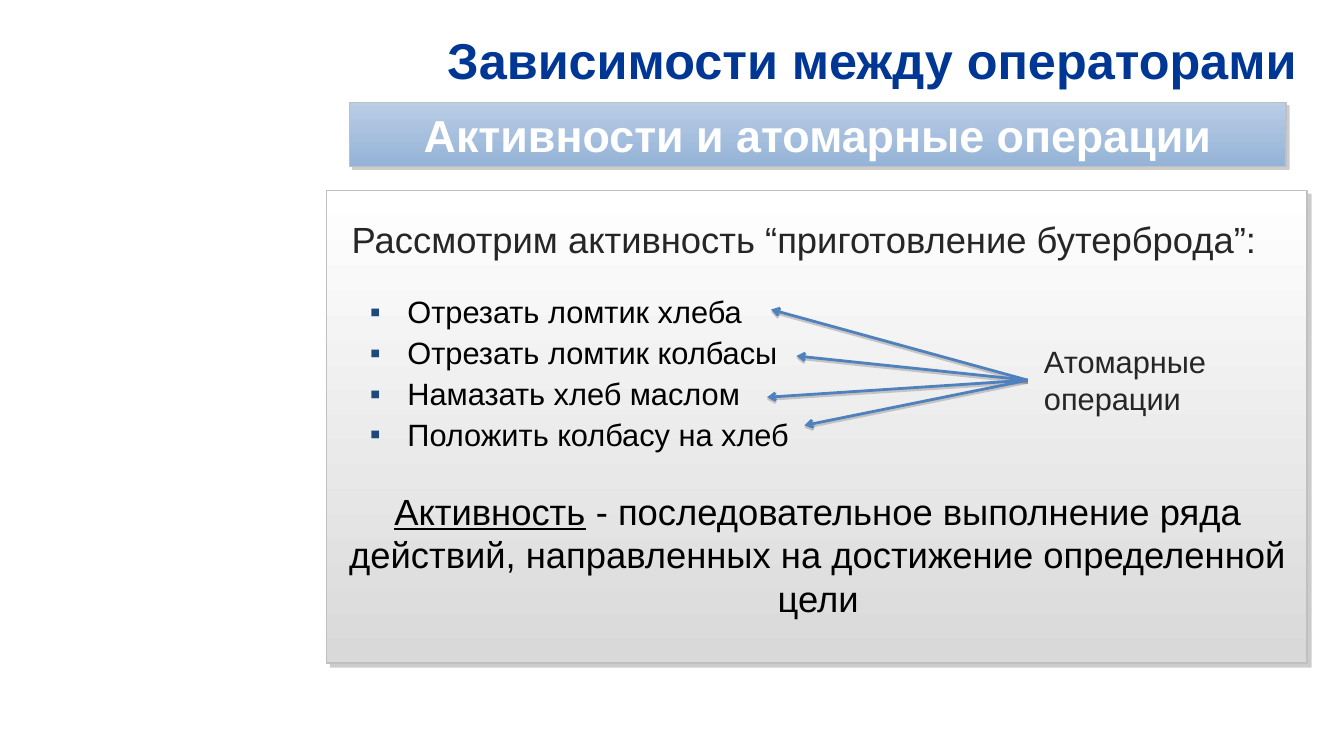
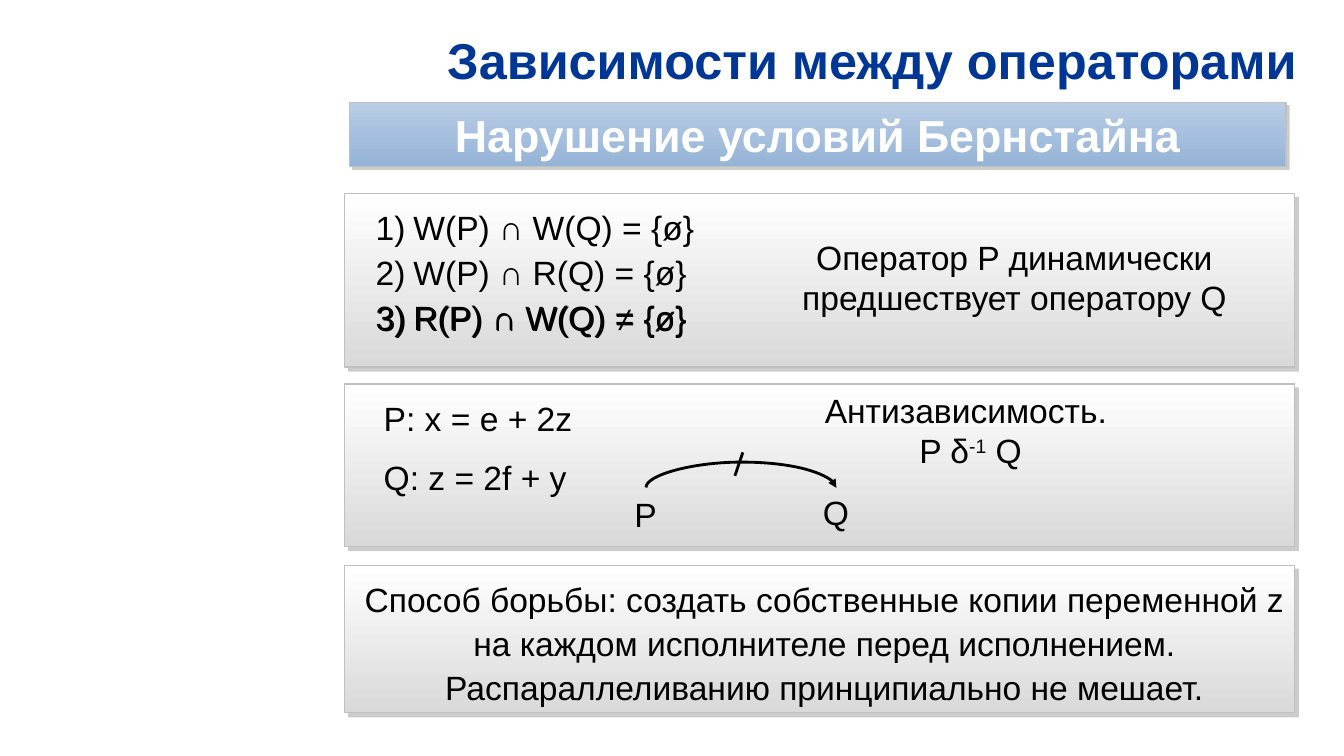
import dataclasses
import typing

import lxml.etree
import pptx
import pptx.dml.color
import pptx.enum.shapes
import pptx.enum.text
import pptx.oxml.ns
import pptx.util

Cm = pptx.util.Cm
Pt = pptx.util.Pt
qn = pptx.oxml.ns.qn
ALIGN = pptx.enum.text.PP_ALIGN
MIDDLE = pptx.enum.text.MSO_ANCHOR.MIDDLE
CONNECTOR = pptx.enum.shapes.MSO_CONNECTOR


# Theme and descriptions of the repeated elements
@dataclasses.dataclass(frozen=True)
class Theme:
    font: str = "Arial"
    title: str = "003794"
    white: str = "FFFFFF"
    text: str = "000000"
    soft_text: str = "262626"
    bullet: str = "1F497D"
    border: str = "C0C0C0"
    shadow: str = "808080"
    arrow: str = "4F81BD"
    panel: tuple[str, str] = ("FFFFFF", "D9D9D9")
    banner: tuple[str, str] = ("B9CDE5", "95B3D7")
    title_size: int = 36
    banner_size: int = 32
    lead_size: int = 26
    body_size: int = 24
    list_size: int = 22


THEME = Theme()


class Box(typing.NamedTuple):
    left: float
    top: float
    width: float
    height: float


class Shadow(typing.NamedTuple):
    distance: float
    angle: int
    alpha: int


class Run(typing.NamedTuple):
    text: str
    underline: bool = False
    superscript: bool = False
    break_before: bool = False


@dataclasses.dataclass(frozen=True)
class Style:
    size: int = THEME.body_size
    color: str = THEME.text
    bold: bool = False
    align: typing.Any = ALIGN.LEFT
    line_spacing: float = 1.0
    gap: float = 0
    bullet: str = ""
    number: int = 0


Paragraph = list[Run]
CENTERED = Style(align=ALIGN.CENTER)
HANGING = Cm(0.95)


# Helpers
def rgb(value: str) -> pptx.dml.color.RGBColor:
    return pptx.dml.color.RGBColor.from_string(value)


def assign(target: typing.Any, values: dict[str, typing.Any]) -> None:
    for name, value in values.items():
        setattr(target, name, value)


def add_child(parent: typing.Any, tag: str, **attrs: typing.Any) -> typing.Any:
    values = {name: str(value) for name, value in attrs.items()}
    return lxml.etree.SubElement(parent, qn(tag), values)


def cast_shadow(effects: typing.Any, shadow: Shadow) -> None:
    outer = add_child(effects, "a:outerShdw", blurRad=0,
                      dist=int(Pt(shadow.distance)),
                      dir=shadow.angle * 60000, algn="tl", rotWithShape=0)
    color = add_child(outer, "a:srgbClr", val=THEME.shadow)
    add_child(color, "a:alpha", val=shadow.alpha * 1000)


def mark_list(p: typing.Any, style: Style) -> None:
    pPr = p._p.get_or_add_pPr()
    pPr.set("marL", str(int(HANGING)))
    pPr.set("indent", str(-int(HANGING)))
    if style.bullet:
        color = add_child(pPr, "a:buClr")
        add_child(color, "a:srgbClr", val=THEME.bullet)
        add_child(pPr, "a:buFont", typeface=THEME.font)
        add_child(pPr, "a:buChar", char=style.bullet)
    else:
        add_child(pPr, "a:buFont", typeface=THEME.font)
        add_child(pPr, "a:buAutoNum", type="arabicParenR", startAt=style.number)


# Text
def write(tf: typing.Any, paragraphs: list[Paragraph], style: Style) -> None:
    tf.word_wrap = True
    for i, runs in enumerate(paragraphs):
        p = tf.add_paragraph() if i else tf.paragraphs[0]
        assign(p, {"alignment": style.align,
                   "line_spacing": style.line_spacing,
                   "space_before": Pt(style.gap if i else 0)})
        if style.bullet or style.number:
            mark_list(p, style)
        for run in runs:
            if run.break_before:
                p.add_line_break()
            r = p.add_run()
            r.text = run.text
            assign(r.font, {"name": THEME.font, "size": Pt(style.size),
                            "bold": style.bold, "underline": run.underline})
            r.font.color.rgb = rgb(style.color)
            if run.superscript:
                r._r.get_or_add_rPr().set("baseline", "30000")


def add_text(s: typing.Any, box: Box, paragraphs: list[Paragraph],
             style: Style) -> typing.Any:
    sp = s.shapes.add_textbox(*map(Cm, box))
    write(sp.text_frame, paragraphs, style)
    return sp


# Panels and lines
def add_panel(s: typing.Any, box: Box, colors: tuple[str, str] = THEME.panel,
              distance: float = 4) -> typing.Any:
    sp = s.shapes.add_shape(pptx.enum.shapes.MSO_SHAPE.RECTANGLE, *map(Cm, box))
    sp.fill.gradient()
    sp.fill.gradient_angle = 270
    for stop, color in zip(sp.fill.gradient_stops, colors):
        stop.color.rgb = rgb(color)
    sp.line.color.rgb = rgb(THEME.border)
    sp.line.width = Pt(1)
    sp.shadow.inherit = False
    cast_shadow(sp._element.spPr.find(qn("a:effectLst")), Shadow(distance, 45, 40))
    return sp


def add_line(s: typing.Any, start: tuple[float, float], end: tuple[float, float],
             color: str, head: str = "", shadow: Shadow | None = None,
             kind: typing.Any = CONNECTOR.STRAIGHT) -> typing.Any:
    line = s.shapes.add_connector(kind, *map(Cm, start + end))
    line.line.color.rgb = rgb(color)
    line.line.width = Pt(2)
    spPr = line._element.spPr
    if head:
        add_child(spPr.find(qn("a:ln")), "a:tailEnd", type=head)
    effects = add_child(spPr, "a:effectLst")
    if shadow:
        cast_shadow(effects, shadow)
    return line


def add_arc_arrow(s: typing.Any, left: float, right: float, base: float,
                  rise: float) -> None:
    # A thin S-connector turned by 90 degrees, its bend pushed upwards
    thin = 0.01
    middle, half = (left + right) / 2, (right - left) / 2
    arc = add_line(s, (middle - thin / 2, base + half),
                   (middle + thin / 2, base - half),
                   THEME.text, "triangle", kind=CONNECTOR.CURVE)
    spPr = arc._element.spPr
    spPr.find(qn("a:xfrm")).set("rot", str(90 * 60000))
    geometry = spPr.find(qn("a:prstGeom"))
    guides = geometry.find(qn("a:avLst"))
    if guides is None:
        guides = add_child(geometry, "a:avLst")
    add_child(guides, "a:gd", name="adj1",
              fmla=f"val {round(-rise / thin * 100000)}")


# Shared slide frame
def add_slide(prs: typing.Any, heading: str) -> typing.Any:
    s = prs.slides.add_slide(prs.slide_layouts[6])
    title = add_text(s, Box(8.15, 0.58, 24.79, 1.83),
                     [[Run("Зависимости между операторами")]],
                     Style(THEME.title_size, THEME.title, True, ALIGN.RIGHT))
    title.text_frame.vertical_anchor = MIDDLE
    banner = add_panel(s, Box(8.81, 2.59, 23.6, 1.6), THEME.banner, 3)
    assign(banner.text_frame, {"vertical_anchor": MIDDLE,
                               "margin_left": Cm(0.6), "margin_right": Cm(0.6),
                               "margin_top": Cm(0.1), "margin_bottom": Cm(0.1)})
    write(banner.text_frame, [[Run(heading)]],
          Style(THEME.banner_size, THEME.white, True, ALIGN.CENTER))
    return s


# Slide 1
def build_activities(prs: typing.Any) -> None:
    s = add_slide(prs, "Активности и атомарные операции")
    add_panel(s, Box(8.23, 4.8, 24.71, 11.91))
    add_text(s, Box(8.61, 5.13, 23.44, 1.6),
             [[Run("Рассмотрим активность “приготовление бутерброда”:")]],
             Style(THEME.lead_size, THEME.soft_text, align=ALIGN.JUSTIFY,
                   line_spacing=1.2))
    steps = ["Отрезать ломтик хлеба", "Отрезать ломтик колбасы",
             "Намазать хлеб маслом", "Положить колбасу на хлеб"]
    add_text(s, Box(9.07, 7.37, 23.37, 4.5), [[Run(step)] for step in steps],
             Style(THEME.list_size, line_spacing=0.9, gap=5.3, bullet="▪"))
    add_text(s, Box(7.92, 12.19, 25.4, 3.58),
             [[Run("Активность", underline=True),
               Run(" - последовательное выполнение ряда действий, "
                   "направленных на достижение определенной цели")]],
             Style(THEME.lead_size, align=ALIGN.CENTER))
    add_text(s, Box(26.06, 8.51, 7.11, 2.13), [[Run("Атомарные операции")]],
             Style(THEME.list_size, THEME.soft_text))
    for tip in [(19.43, 7.8), (20.07, 8.97), (19.33, 10.01), (20.27, 10.72)]:
        add_line(s, (25.9, 9.58), tip, THEME.arrow, "arrow", Shadow(1.6, 90, 38))


# Slide 2
def build_bernstein(prs: typing.Any) -> None:
    s = add_slide(prs, "Нарушение условий Бернстайна")
    for top, height in [(4.88, 4.37), (9.68, 4.09), (14.25, 3.71)]:
        add_panel(s, Box(8.69, top, 23.93, height))

    # Conditions; the violated third one lies over its initial form
    conditions = [(1, "W(P) ∩ W(Q) = {ø}", 0), (2, "W(P) ∩ R(Q) = {ø}", 0),
                  (3, "R(P) ∩ W(Q) = {ø}", 0), (3, "R(P) ∩ W(Q) ≠ {ø}", 0.03)]
    for number, formula, shift in conditions:
        top = 5.36 + 1.14 * (number - 1) + shift
        add_text(s, Box(9.22 + shift, top, 10.26, 0.99), [[Run(formula)]],
                 Style(line_spacing=0.7, number=number))
    add_text(s, Box(18.72, 5.84, 13.69, 2.31),
             [[Run("Оператор P динамически предшествует оператору Q")]], CENTERED)

    # Antidependence
    add_text(s, Box(9.42, 9.91, 7.29, 2.82),
             [[Run("P: x = e + 2z")], [Run("Q: z = 2f + y")]], Style(gap=13))
    add_text(s, Box(16.41, 9.7, 16.1, 2.31),
             [[Run("Антизависимость. "), Run("P δ", break_before=True),
               Run("-1", superscript=True), Run(" Q")]], CENTERED)
    for name, left, top in [("P", 15.32, 12.32), ("Q", 20.12, 12.27)]:
        add_text(s, Box(left, top, 1.9, 1.27), [[Run(name)]], CENTERED)
    add_arc_arrow(s, 16.28, 21.08, 12.29, 0.64)
    add_line(s, (18.72, 11.4), (18.52, 11.99), THEME.text)

    # Remedy
    add_text(s, Box(8.81, 14.35, 23.93, 3.63),
             [[Run("Способ борьбы: создать собственные копии переменной z "
                   "на каждом исполнителе перед исполнением. "
                   "Распараллеливанию принципиально не мешает.")]],
             Style(align=ALIGN.CENTER, line_spacing=1.1))


def main() -> None:
    prs = pptx.Presentation()
    assign(prs, {"slide_width": Cm(33.87), "slide_height": Cm(19.05)})
    build_activities(prs)
    build_bernstein(prs)
    prs.save("out.pptx")


if __name__ == "__main__":
    main()
